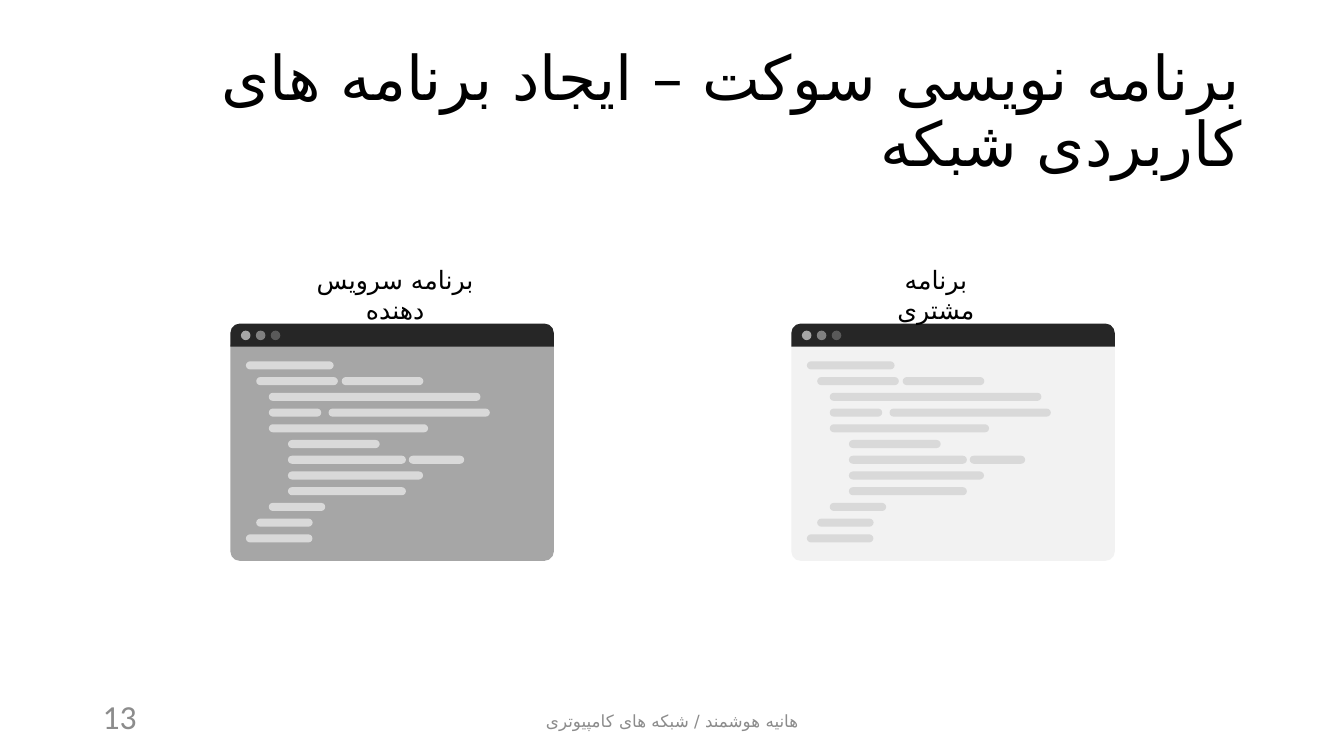
"""Build the socket programming slide with its client and server windows."""
from typing import NamedTuple

from lxml import etree
from pptx import Presentation
from pptx.dml.color import RGBColor
from pptx.enum.shapes import MSO_SHAPE
from pptx.enum.text import MSO_ANCHOR, MSO_AUTO_SIZE, PP_ALIGN
from pptx.oxml.ns import qn
from pptx.util import Inches, Length, Pt

LEFT, CENTER, RIGHT = PP_ALIGN.LEFT, PP_ALIGN.CENTER, PP_ALIGN.RIGHT
TOP, MIDDLE = MSO_ANCHOR.TOP, MSO_ANCHOR.MIDDLE
FIXED, GROW = MSO_AUTO_SIZE.NONE, MSO_AUTO_SIZE.SHAPE_TO_FIT_TEXT
TABBED = MSO_SHAPE.ROUND_2_SAME_RECTANGLE
PILL, DOT = MSO_SHAPE.ROUNDED_RECTANGLE, MSO_SHAPE.OVAL

FONT, ARABIC_FONT = "Calibri", "DejaVu Sans"
BLACK, GRAY = "000000", "8C8C8C"
TITLE_BAR, CODE = "262626", "D9D9D9"
DOT_COLORS = ("A6A6A6", "808080", "595959")

CELL = Inches(0.1)
SLIDE_WIDTH, SLIDE_HEIGHT = 133.33, 75
WINDOW_TOP, WINDOW_WIDTH = 32.1, 32.1
BAR_HEIGHT, BODY_OFFSET, BODY_HEIGHT = 2.3, 2.1, 21.45
CORNER = 0.95
DOT_LEFT, DOT_TOP, DOT_SIZE, DOT_PITCH = 1.05, 0.7, 0.95, 1.48
CODE_TOP, CODE_HEIGHT, CODE_PITCH = 3.75, 0.8, 1.56


class Area(NamedTuple):
    """A rectangle in grid cells."""

    left: float
    top: float
    width: float
    height: float


class Caption(NamedTuple):
    """A piece of text with its place and look."""

    text: str
    area: Area
    size: int
    color: str
    align: PP_ALIGN
    anchor: MSO_ANCHOR
    fit: MSO_AUTO_SIZE
    rtl: bool


class Window(NamedTuple):
    """A program window."""

    left: float
    color: str


class CodeBar(NamedTuple):
    """A stroke of code, placed by row and by offset from the window."""

    row: int
    offset: float
    width: float


TITLE = Caption("برنامه نویسی سوکت – ایجاد برنامه های کاربردی شبکه",
                Area(9.2, 4, 115, 14.5), 44, BLACK, RIGHT, MIDDLE, FIXED, True)
CAPTIONS = (
    Caption("هانیه هوشمند / شبکه های کامپیوتری",
            Area(44.2, 69.5, 45, 4), 12, GRAY, CENTER, MIDDLE, FIXED, False),
    Caption("13", Area(9.2, 69, 30, 4), 24, GRAY, LEFT, MIDDLE, FIXED, False),
    Caption("برنامه مشتری",
            Area(86.6, 25.7, 12.5, 4), 18, BLACK, CENTER, TOP, GROW, True),
    Caption("برنامه سرویس دهنده",
            Area(29.1, 25.7, 20.2, 4), 18, BLACK, CENTER, TOP, GROW, True),
)
WINDOWS = (Window(78.5, "F2F2F2"), Window(22.85, "A6A6A6"))
CODE_BARS = (
    CodeBar(0, 1.55, 8.7),
    CodeBar(1, 2.57, 8.1), CodeBar(1, 11.05, 8.1),
    CodeBar(2, 3.82, 21),
    CodeBar(3, 3.82, 5.2), CodeBar(3, 9.75, 16),
    CodeBar(4, 3.82, 15.8),
    CodeBar(5, 5.72, 9.1),
    CodeBar(6, 5.72, 11.7), CodeBar(6, 17.7, 5.5),
    CodeBar(7, 5.72, 13.4),
    CodeBar(8, 5.72, 11.7),
    CodeBar(9, 3.82, 5.6),
    CodeBar(10, 2.57, 5.6),
    CodeBar(11, 1.55, 6.6),
)


def cells(count: float) -> Length:
    """Turn a number of grid cells into a length."""
    return Length(round(count * CELL))


def rgb(color: str) -> RGBColor:
    """Turn a hex string into a colour."""
    return RGBColor.from_string(color)


def write(box, caption: Caption) -> None:
    """Place and format the text of a box."""
    box.left, box.top, box.width, box.height = map(cells, caption.area)
    frame = box.text_frame
    frame.text = caption.text
    frame.word_wrap = True
    frame.auto_size = caption.fit
    frame.vertical_anchor = caption.anchor
    para = frame.paragraphs[0]
    para.alignment = caption.align
    font = para.font
    font.size, font.name = Pt(caption.size), FONT
    font.color.rgb = rgb(caption.color)
    properties = para._p.get_or_add_pPr()
    properties.set("rtl", str(int(caption.rtl)))
    defaults = properties.find(qn("a:defRPr"))
    etree.SubElement(defaults, qn("a:cs"), typeface=ARABIC_FONT)


def add_block(group, kind: MSO_SHAPE, area: Area, color: str,
              *adjustments: float) -> None:
    """Add a flat filled shape to a group."""
    shape = group.shapes.add_shape(kind, *map(cells, area))
    shape.shadow.inherit = False
    shape.fill.solid()
    shape.fill.fore_color.rgb = rgb(color)
    shape.line.fill.background()
    for index, value in enumerate(adjustments):
        shape.adjustments[index] = value


def add_window(page, window: Window) -> None:
    """Draw a program window with its title bar, dots and code."""
    group = page.shapes.add_group_shape()
    left = window.left
    body = Area(left, WINDOW_TOP + BODY_OFFSET, WINDOW_WIDTH, BODY_HEIGHT)
    bar = Area(left, WINDOW_TOP, WINDOW_WIDTH, BAR_HEIGHT)
    add_block(group, TABBED, body, window.color, 0, CORNER / BODY_HEIGHT)
    add_block(group, TABBED, bar, TITLE_BAR, CORNER / BAR_HEIGHT, 0)
    for index, color in enumerate(DOT_COLORS):
        dot = Area(left + DOT_LEFT + index * DOT_PITCH, WINDOW_TOP + DOT_TOP,
                   DOT_SIZE, DOT_SIZE)
        add_block(group, DOT, dot, color)
    for code in CODE_BARS:
        top = WINDOW_TOP + CODE_TOP + code.row * CODE_PITCH
        stroke = Area(left + code.offset, top, code.width, CODE_HEIGHT)
        add_block(group, PILL, stroke, CODE, 0.5)


def main() -> None:
    """Build and save the deck."""
    deck = Presentation()
    deck.slide_width, deck.slide_height = cells(SLIDE_WIDTH), cells(SLIDE_HEIGHT)
    page = deck.slides.add_slide(deck.slide_layouts.get_by_name("Title Only"))
    write(page.shapes.title, TITLE)
    page.shapes.title.text_frame.paragraphs[0].line_spacing = 0.9
    for window in WINDOWS:
        add_window(page, window)
    for caption in CAPTIONS:
        write(page.shapes.add_textbox(0, 0, 0, 0), caption)
    deck.save("out.pptx")


if __name__ == "__main__":
    main()
